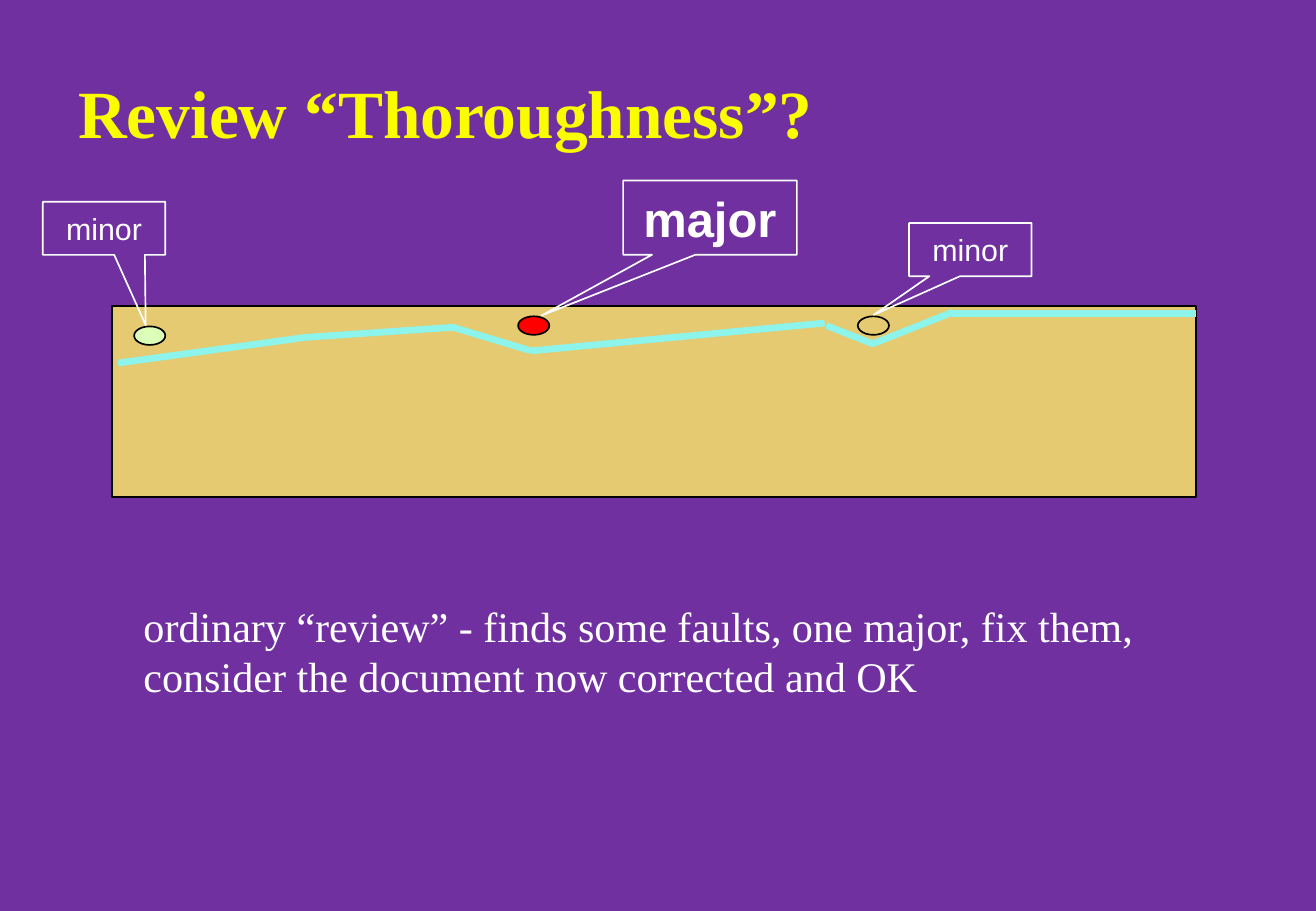
from pptx import Presentation, util as u
from pptx.dml.color import RGBColor
from pptx.enum import shapes, text
from pptx.oxml.ns import qn
from lxml import etree

COLORS = {"background": "7030A0", "title": "FAFD00", "text": "FFFFFF", "document": "E5CA72",
          "outline": "000000", "depth": "8CF4EA", "major": "FF0000", "minor": "DBFFB8"}
SERIF, SANS = "Times New Roman", "Arial"

title = "Review “Thoroughness”?"
summary = ["ordinary “review” - finds some faults, one major, fix them,",
           "consider the document now corrected and OK"]
document = (66.6, 181.5, 642.6, 113.2)
depth_segments = [
    ((70, 215.2), (181, 200)), ((181, 200), (269, 194)), ((268.5, 194), (315, 208)),
    ((315, 208), (489, 191.5)), ((490, 193), (518, 204)), ((517, 204), (565, 185)),
    ((564.5, 186), (709.2, 186)),
]
fault_size = (18.5, 11)
faults = [
    {"at": (307.2, 187.5), "fill": "major", "label": "major", "size": 29, "bold": True,
     "box": (369.5, 107, 103, 44), "tip": (-0.97, 1.32)},
    {"at": (508.6, 187.5), "fill": None, "label": "minor", "size": 18, "bold": False,
     "box": (539, 132.2, 72.6, 31.5), "tip": (-0.79, 1.23)},
    {"at": (79.5, 193.5), "fill": "minor", "label": "minor", "size": 18, "bold": False,
     "box": (25.4, 119.6, 72.6, 31.5), "tip": (0.34, 1.82)},
]


def color(name):
    return RGBColor.from_string(COLORS[name])


def points(values):
    return [u.Pt(value) for value in values]


def write(frame, lines, font, size, ink, bold=False, align=text.PP_ALIGN.LEFT):
    for index, line in enumerate(lines):
        paragraph = frame.paragraphs[0] if index == 0 else frame.add_paragraph()
        paragraph.alignment = align
        run = paragraph.add_run()
        run.text = line
        run.font.name, run.font.size, run.font.bold = font, u.Pt(size), bold
        run.font.color.rgb = color(ink)


def add_outlined(kind, box, fill, outline):
    shape = slide.shapes.add_shape(kind, *points(box))
    shape.shadow.inherit = False
    if fill:
        shape.fill.solid()
        shape.fill.fore_color.rgb = color(fill)
    else:
        shape.fill.background()
    shape.line.color.rgb = color(outline)
    shape.line.width = u.Pt(1)
    return shape


def add_depth_segment(start, end):
    segment = slide.shapes.add_connector(shapes.MSO_CONNECTOR.STRAIGHT, *points(start + end))
    segment.line.color.rgb = color("depth")
    segment.line.width = u.Pt(4)
    etree.SubElement(segment._element.spPr, qn("a:effectLst"))


def add_fault(fault):
    add_outlined(shapes.MSO_SHAPE.OVAL, fault["at"] + fault_size, fault["fill"], "outline")
    callout = add_outlined(shapes.MSO_SHAPE.RECTANGULAR_CALLOUT, fault["box"], None, "text")
    callout.adjustments[0], callout.adjustments[1] = fault["tip"]
    frame = callout.text_frame
    frame.word_wrap = False
    frame.vertical_anchor = text.MSO_ANCHOR.MIDDLE
    write(frame, [fault["label"]], SANS, fault["size"], "text", fault["bold"],
          text.PP_ALIGN.CENTER)


deck = Presentation()
deck.slide_width, deck.slide_height = points((780.3, 540))
slide = deck.slides.add_slide(deck.slide_layouts[6])
slide.background.fill.solid()
slide.background.fill.fore_color.rgb = color("background")

heading = slide.shapes.add_textbox(*points((39.2, 12.2, 702, 108))).text_frame
heading.word_wrap = True
heading.vertical_anchor = text.MSO_ANCHOR.MIDDLE
write(heading, [title], SERIF, 40, "title", bold=True)

conclusion = slide.shapes.add_textbox(*points((78, 352.2, 602.6, 67.6))).text_frame
conclusion.word_wrap = False
write(conclusion, summary, SERIF, 25, "text")

add_outlined(shapes.MSO_SHAPE.RECTANGLE, document, "document", "outline")
for start, end in depth_segments:
    add_depth_segment(start, end)
for fault in faults:
    add_fault(fault)

deck.save("out.pptx")
